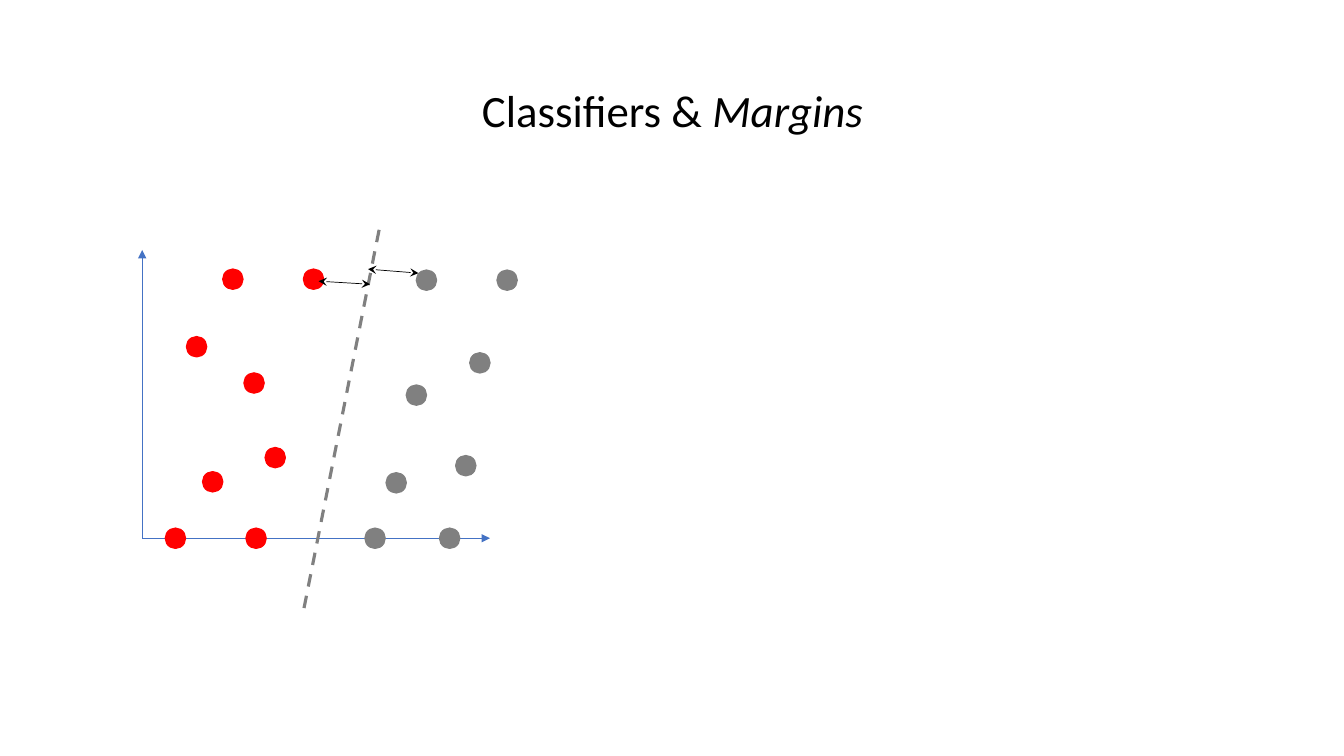
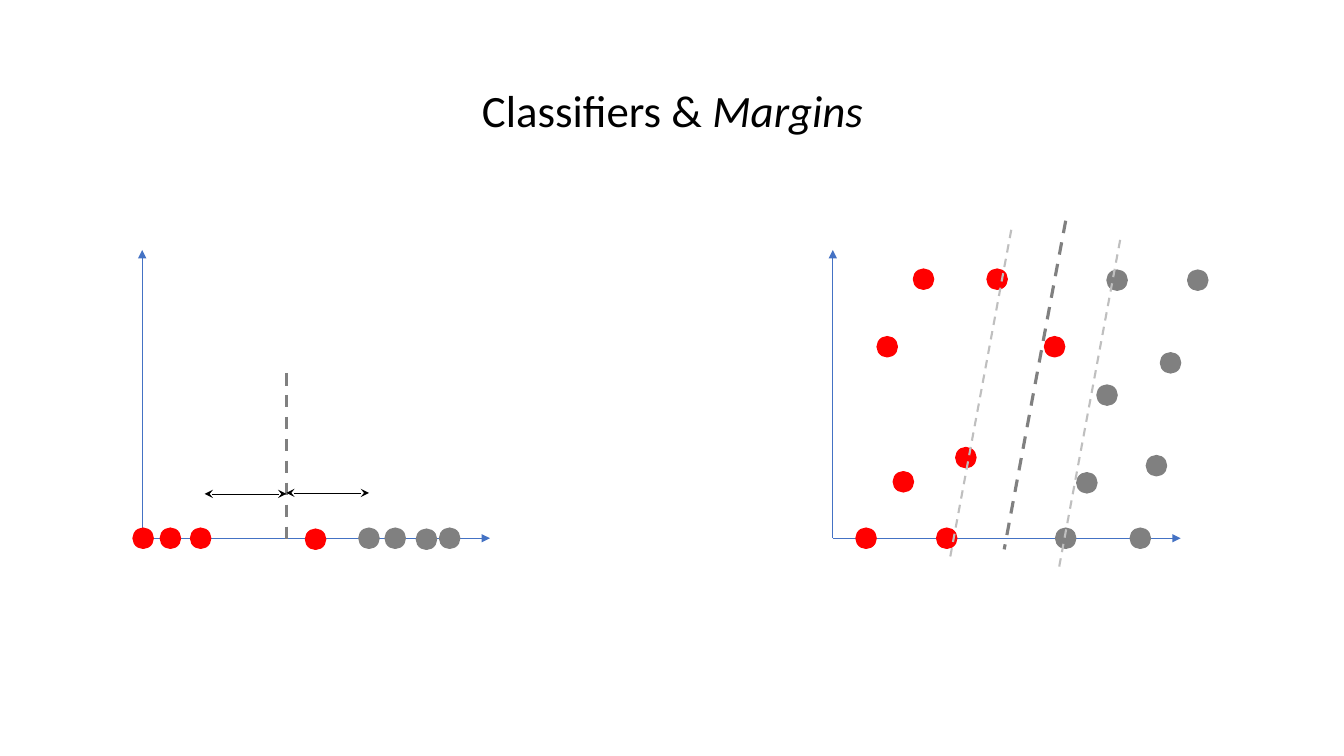
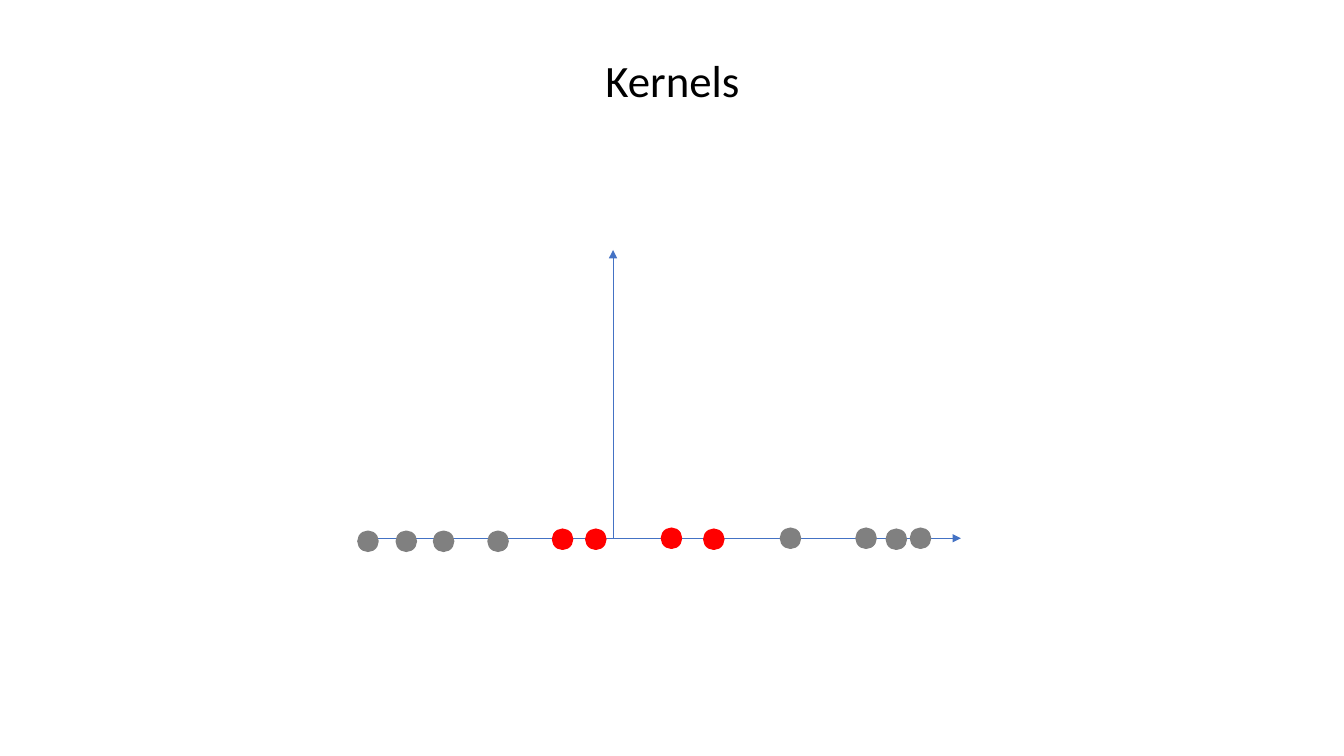
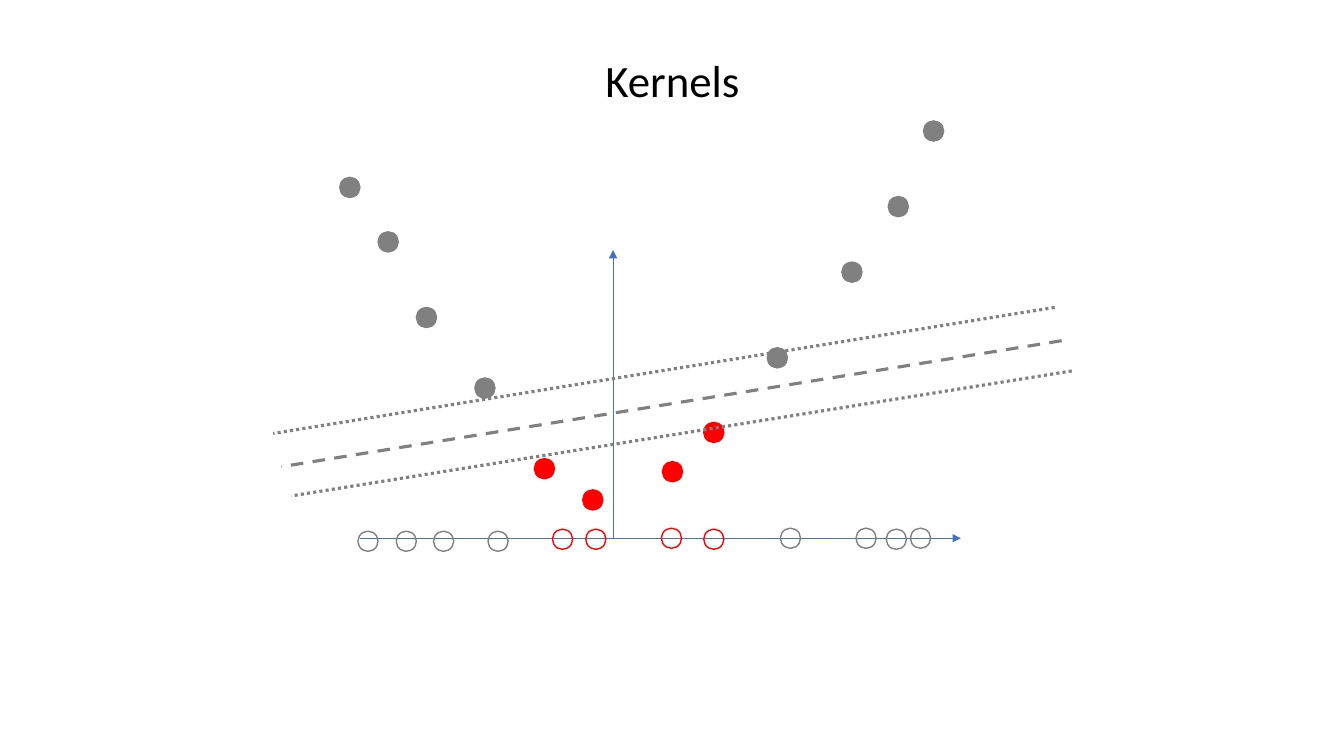
from lxml import etree
from pptx import Presentation
from pptx.dml.color import RGBColor
from pptx.enum.dml import MSO_LINE
from pptx.enum.shapes import MSO_CONNECTOR, MSO_SHAPE
from pptx.enum.text import MSO_ANCHOR, PP_ALIGN
from pptx.oxml.ns import qn
from pptx.util import Inches, Pt

STRAIGHT = MSO_CONNECTOR.STRAIGHT
OVAL = MSO_SHAPE.OVAL
DASH, DOTTED = MSO_LINE.DASH, MSO_LINE.ROUND_DOT
MIDDLE, CENTER = MSO_ANCHOR.MIDDLE, PP_ALIGN.CENTER

FONT = "Calibri"
BLACK, RED, GRAY, LIGHT, BLUE = "000000", "FF0000", "808080", "BFBFBF", "4472C4"
DOT = 0.2
AXIS_HEIGHT, AXIS_WIDTH = 2.86, 3.45
BASELINE = 5.34
LEFT_PLOT, RIGHT_PLOT, KERNEL_PLOT = (1.41, BASELINE), (8.26, BASELINE), (6.08, BASELINE)

PLANE_RED = [(1.32, 0.8), (0.7, 0.56), (1.13, 0), (0.33, 0), (0.54, 1.9), (0.9, 2.57)]
PLANE_GRAY = [(3.21, 0.72), (2.52, 0.55), (3.05, 0), (2.31, 0),
              (3.35, 1.74), (2.72, 1.42), (3.62, 2.56), (2.82, 2.56)]
AXIS_RED = [(0.58, 0), (-0.17, -0.01), (1, -0.01), (-0.5, -0.01)]
AXIS_GRAY = [(2.81, -0.01), (2.51, 0), (3.05, 0), (1.76, 0),
             (-2.05, -0.03), (-1.68, -0.03), (-1.14, -0.03), (-2.43, -0.03)]
LIFTED_RED = [(0.59, 0.66), (-0.2, 0.38), (1, 1.05), (-0.68, 0.69)]
LIFTED_GRAY = [(2.83, 3.29), (2.37, 2.64), (3.18, 4.04), (1.63, 1.79),
               (-2.23, 2.94), (-1.85, 2.19), (-1.27, 1.49), (-2.61, 3.48)]


def color(value):
    """Return the colour for a hex string."""
    return RGBColor.from_string(value)


def add_slide(prs, parts, height):
    """Add a slide whose title is made of (text, italic) parts."""
    s = prs.slides.add_slide(prs.slide_layouts[5])
    title = s.shapes.title
    title.left, title.top = Inches(0.92), Inches(0.4)
    title.width, title.height = Inches(11.5), Inches(height)
    tf = title.text_frame
    tf.vertical_anchor = MIDDLE
    p = tf.paragraphs[0]
    p.alignment, p.line_spacing = CENTER, 0.9
    for text, italic in parts:
        r = p.add_run()
        r.text = text
        r.font.name, r.font.size, r.font.italic = FONT, Pt(32), italic
        r.font.color.rgb = color(BLACK)
    return s


def add_line(s, origin, start, end, hue, width, dash=None, head=None, tail=None):
    """Draw a line between two plot points, measured right and up from the origin."""
    x, y = origin
    sp = s.shapes.add_connector(
        STRAIGHT, Inches(x + start[0]), Inches(y - start[1]),
        Inches(x + end[0]), Inches(y - end[1]))
    sp.line.color.rgb = color(hue)
    sp.line.width = Pt(width)
    if dash is not None:
        sp.line.dash_style = dash
    spPr = sp.element.spPr
    ln = spPr.find(qn("a:ln"))
    for tag, arrow in (("a:headEnd", head), ("a:tailEnd", tail)):
        if arrow:
            etree.SubElement(ln, qn(tag), type=arrow)
    etree.SubElement(spPr, qn("a:effectLst"))


def add_axes(s, origin, left=0):
    """Draw both axes, the horizontal one starting at left."""
    add_line(s, origin, (0, 0), (0, AXIS_HEIGHT), BLUE, 0.5, tail="triangle")
    add_line(s, origin, (left, 0), (AXIS_WIDTH, 0), BLUE, 0.5, tail="triangle")


def add_dots(s, origin, points, hue, filled=True):
    """Draw round dots centred on plot points."""
    x, y = origin
    for dx, dy in points:
        sp = s.shapes.add_shape(
            OVAL, Inches(x + dx - DOT / 2), Inches(y - dy - DOT / 2), Inches(DOT), Inches(DOT))
        sp.shadow.inherit = False
        if filled:
            sp.fill.solid()
            sp.fill.fore_color.rgb = color(hue)
        else:
            sp.fill.background()
        sp.line.color.rgb = color(hue)
        sp.line.width = Pt(1)


def add_plot(s, origin, red, gray, left=0):
    """Draw axes with a red and a gray class of dots."""
    add_axes(s, origin, left)
    add_dots(s, origin, red, RED)
    add_dots(s, origin, gray, GRAY)


def add_boundary(s, origin, start, end, dash=DASH):
    """Draw a thick gray separating line."""
    add_line(s, origin, start, end, GRAY, 2.25, dash)


def add_margin_arrow(s, origin, start, end):
    """Draw a double-headed margin arrow."""
    add_line(s, origin, start, end, BLACK, 0.5, head="stealth", tail="stealth")


def margin_slide(prs):
    """Build the slide with two separable classes."""
    s = add_slide(prs, MARGINS_TITLE, 1.45)
    add_plot(s, LEFT_PLOT, PLANE_RED + [(1.11, 1.54), (1.7, 2.57)], PLANE_GRAY)
    add_boundary(s, LEFT_PLOT, (2.35, 3.06), (1.6, -0.72))
    add_margin_arrow(s, LEFT_PLOT, (2.24, 2.67), (2.74, 2.63))
    add_margin_arrow(s, LEFT_PLOT, (1.75, 2.55), (2.26, 2.52))


def soft_margin_slide(prs):
    """Build the slide with an outlier inside the margin, in one and two dimensions."""
    s = add_slide(prs, MARGINS_TITLE, 1.45)
    add_plot(s, LEFT_PLOT, [(0.58, 0), (0.28, 0), (1.72, -0.01), (0.01, 0)],
             [(2.82, -0.01), (2.51, 0), (3.05, 0), (2.25, 0)])
    add_boundary(s, LEFT_PLOT, (1.43, 1.64), (1.43, -0.02))
    add_margin_arrow(s, LEFT_PLOT, (1.43, 0.45), (2.25, 0.45))
    add_margin_arrow(s, LEFT_PLOT, (0.62, 0.44), (1.43, 0.44))
    add_plot(s, RIGHT_PLOT, PLANE_RED + [(2.2, 1.9), (1.63, 2.57)], PLANE_GRAY)
    add_boundary(s, RIGHT_PLOT, (2.31, 3.15), (1.7, -0.11))
    for start, end in (((1.77, 3.06), (1.16, -0.21)), ((2.85, 2.96), (2.24, -0.31))):
        add_line(s, RIGHT_PLOT, start, end, LIGHT, 1.5, DASH)


def kernel_slide(prs, red, gray):
    """Build a kernel slide with dots on both sides of the origin."""
    s = add_slide(prs, [("Kernels", None)], 0.85)
    add_plot(s, KERNEL_PLOT, red, gray, left=-2.51)
    return s


def lifted_kernel_slide(prs):
    """Build the kernel slide whose dots are lifted off the axis."""
    s = kernel_slide(prs, LIFTED_RED, LIFTED_GRAY)
    add_dots(s, KERNEL_PLOT, AXIS_RED, RED, filled=False)
    add_dots(s, KERNEL_PLOT, AXIS_GRAY, GRAY, filled=False)
    add_boundary(s, KERNEL_PLOT, (4.45, 1.96), (-3.29, 0.71))
    add_boundary(s, KERNEL_PLOT, (4.55, 1.66), (-3.19, 0.42), DOTTED)
    add_boundary(s, KERNEL_PLOT, (4.38, 2.29), (-3.37, 1.04), DOTTED)


MARGINS_TITLE = [("Classifiers & ", None), ("Margins", True)]

prs = Presentation()
prs.slide_width, prs.slide_height = Inches(13.33), Inches(7.5)
margin_slide(prs)
soft_margin_slide(prs)
kernel_slide(prs, AXIS_RED, AXIS_GRAY)
lifted_kernel_slide(prs)
prs.save("out.pptx")
